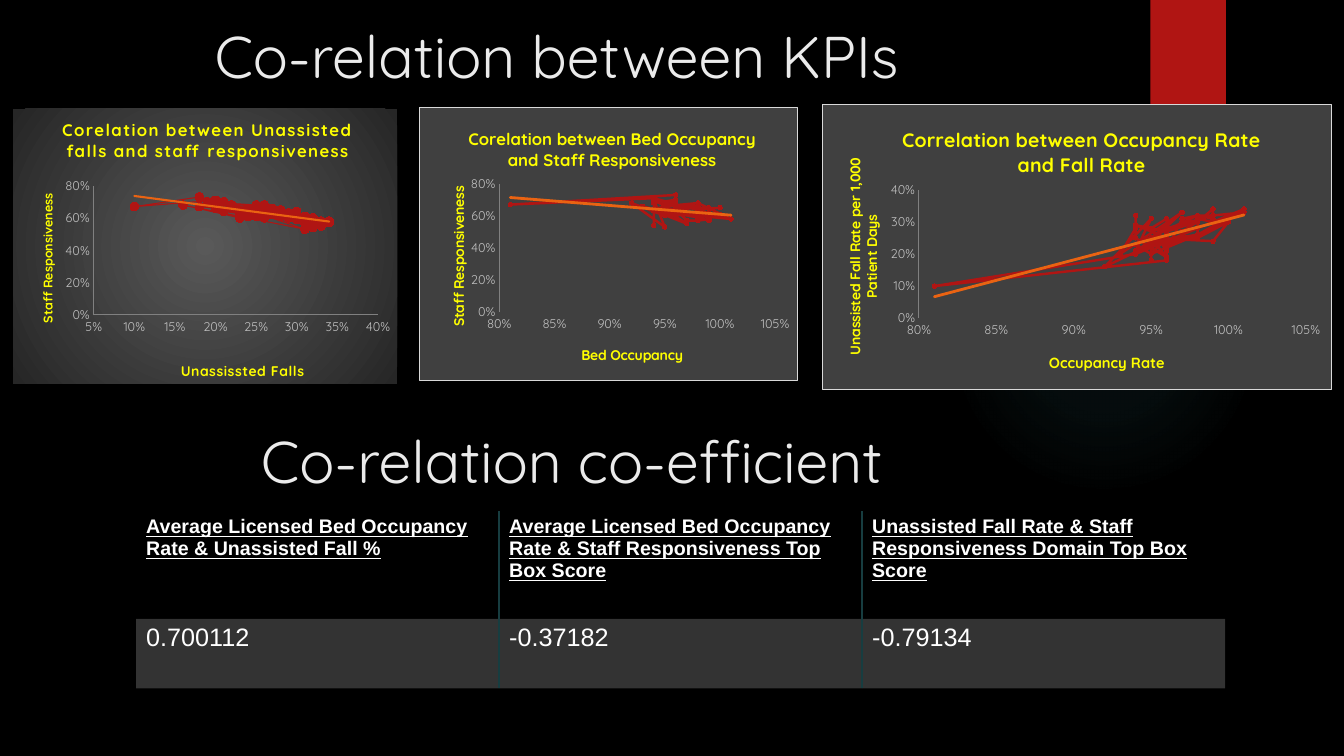
from lxml import etree
from pptx import Presentation
from pptx.chart.data import XyChartData
from pptx.dml.color import RGBColor
from pptx.enum import chart as ch, shapes
from pptx.oxml import parse_xml
from pptx.oxml.ns import nsdecls, qn
from pptx.util import Inches, Pt

YELLOW, RED, ORANGE, TEAL = "FFFF00", "B01513", "EA6312", "173D40"


def style(font, size, color, bold=False, name="Quicksand"):
    font.size, font.bold, font.name = Pt(size), bold, name
    font.color.rgb = RGBColor.from_string(color)


def radial(stops):
    """Circular gradient from (position %, colour, opacity %) stops."""
    gs = "".join(f'<a:gs pos="{pos * 1000}"><a:srgbClr val="{color}">'
                 f'<a:alpha val="{alpha * 1000}"/></a:srgbClr></a:gs>'
                 for pos, color, alpha in stops)
    return (f'<a:gradFill {nsdecls("a")} rotWithShape="1"><a:gsLst>{gs}</a:gsLst><a:path path="circle">'
            '<a:fillToRect l="50000" t="50000" r="50000" b="50000"/></a:path></a:gradFill>')


prs = Presentation()
prs.slide_width, prs.slide_height = Inches(13.33), Inches(7.5)
s = prs.slides.add_slide(prs.slide_layouts[6])
s.background.fill.solid()
s.background.fill.fore_color.rgb = RGBColor.from_string("000000")

# Backdrop
glow = s.shapes.add_shape(shapes.MSO_SHAPE.OVAL, Inches(9.41), Inches(1.83), Inches(3.08), Inches(3.08))
glow.shadow.inherit = False
glow.line.fill.background()
glow_stops = [(0, "50B9C1", 7), (36, "50B9C1", 6), (69, "50B9C1", 0)]
glow._element.spPr.find(qn("a:prstGeom")).addnext(parse_xml(radial(glow_stops)))

ribbon = s.shapes.add_shape(shapes.MSO_SHAPE.RECTANGLE, Inches(11.41), 0, Inches(0.75), Inches(1.25))
ribbon.shadow.inherit = False
ribbon.line.fill.background()
ribbon.fill.solid()
ribbon.fill.fore_color.rgb = RGBColor.from_string(RED)

# Headings
for heading, left, top in [("Co-relation between KPIs", 2.03, 0.15), ("Co-relation co-efficient", 2.49, 4.16)]:
    tf = s.shapes.add_textbox(Inches(left), Inches(top), Inches(prs.slide_width.inches - left),
                              Inches(1.38)).text_frame
    tf.word_wrap = True
    tf.text = heading
    style(tf.paragraphs[0].runs[0].font, 42, "EBEBEB")

# Monthly KPI values
staff = [0.68, 0.73, 0.67, 0.71, 0.58, 0.68, 0.66, 0.7, 0.53, 0.68, 0.6, 0.61, 0.61, 0.65, 0.64,
         0.7, 0.68, 0.54, 0.64, 0.66, 0.55, 0.64, 0.64, 0.6, 0.58, 0.6, 0.61, 0.6, 0.63, 0.63,
         0.61, 0.6, 0.62, 0.64, 0.57, 0.57, 0.58, 0.57, 0.59, 0.63, 0.63, 0.64, 0.65, 0.67, 0.66,
         0.6, 0.62, 0.6, 0.61, 0.59, 0.64, 0.66, 0.67, 0.67, 0.66, 0.65, 0.66, 0.64, 0.64, 0.65]
falls = [0.22, 0.18, 0.1, 0.2, 0.34, 0.26, 0.24, 0.21, 0.31, 0.16, 0.23, 0.25, 0.3, 0.24, 0.25,
         0.19, 0.25, 0.32, 0.28, 0.2, 0.33, 0.24, 0.23, 0.26, 0.33, 0.32, 0.28, 0.29, 0.25, 0.23,
         0.24, 0.31, 0.28, 0.21, 0.31, 0.32, 0.32, 0.34, 0.3, 0.27, 0.29, 0.25, 0.24, 0.2, 0.26,
         0.31, 0.3, 0.3, 0.31, 0.32, 0.23, 0.2, 0.18, 0.2, 0.25, 0.26, 0.27, 0.3, 0.28, 0.28]
beds = [0.96, 0.96, 0.81, 0.94, 1.01, 0.98, 0.95, 0.94, 0.95, 0.92, 0.95, 0.98, 1, 0.99, 0.95,
        0.96, 0.94, 0.94, 0.94, 0.93, 0.97, 0.95, 0.96, 0.98, 1.01, 0.99, 0.96, 0.96, 0.95, 0.95,
        0.96, 0.96, 0.95, 0.96, 0.97, 0.98, 0.99, 0.99, 0.98, 0.96, 0.94, 0.96, 0.95, 0.95, 0.98,
        0.98, 0.99, 0.99, 0.99, 0.98, 0.94, 0.95, 0.95, 0.95, 0.96, 0.96, 0.97, 0.98, 0.98, 1]

# Each title is (text, size, letter spacing, x, y); plot and title places are fractions of the chart
flat = (f'<a:solidFill {nsdecls("a")}><a:srgbClr val="404040"/></a:solidFill>', "D9D9D9")
charts = [
    dict(box=(0.13, 1.08, 3.81, 2.73), xs=falls, ys=staff, x_scale=(0.05, 0.4, 0.05), y_scale=(0, 0.8, 0.2),
         plot=(0.21, 0.28, 0.74, 0.47), width=0.75, trend=1.5, marker=6, x_line=True,
         look=(radial([(0, "595959", 100), (100, "262626", 100)]), None),
         titles=[("Corelation between Unassisted falls and staff responsiveness", 12, 100, 0.12, 0.02),
                 ("Unassissted Falls", 10, 50, 0.43, 0.91), ("Staff Responsiveness", 9, 0, 0.06, 0.3)]),
    dict(box=(4.16, 1.06, 3.76, 2.72), xs=beds, ys=staff, x_scale=(0.8, 1.05, 0.05), y_scale=(0, 0.8, 0.2),
         plot=(0.21, 0.28, 0.73, 0.47), width=1.75, trend=2, marker=3, x_line=False, look=flat,
         titles=[("Corelation between Bed Occupancy and Staff Responsiveness", 12, 0, 0.12, 0.06),
                 ("Bed Occupancy", 10, 0, 0.42, 0.86), ("Staff Responsiveness", 10, 0, 0.07, 0.28)]),
    dict(box=(8.15, 1.03, 5.06, 2.84), xs=beds[:59], ys=falls[:59], x_scale=(0.8, 1.05, 0.05),
         y_scale=(0, 0.4, 0.1), plot=(0.19, 0.3, 0.76, 0.45), width=1.75, trend=2, marker=3,
         x_line=False, look=flat,
         titles=[("Correlation between Occupancy Rate and Fall Rate", 14, 0, 0.15, 0.06),
                 ("Occupancy Rate", 10.5, 0, 0.44, 0.86),
                 ("Unassisted Fall Rate per 1,000 Patient Days", 10, 0, 0.04, 0.18)]),
]
for c in charts:
    data = XyChartData(number_format="0%")
    points = data.add_series("Series 1")
    for x, y in zip(c["xs"], c["ys"]):
        points.add_data_point(x, y)
    chart = s.shapes.add_chart(ch.XL_CHART_TYPE.XY_SCATTER_SMOOTH, *map(Inches, c["box"]), data).chart
    chart.has_legend = False
    style(chart.font, 10, "FFFFFF")
    chart.plots[0].vary_by_categories = False

    series = chart.plots[0].series[0]
    series.smooth = True
    series.format.line.width = Pt(c["width"])
    series.format.line.color.rgb = RGBColor.from_string(RED)
    series.marker.style, series.marker.size = ch.XL_MARKER_STYLE.CIRCLE, c["marker"]
    series.marker.format.fill.solid()
    series.marker.format.fill.fore_color.rgb = RGBColor.from_string(RED)
    series.marker.format.line.color.rgb = RGBColor.from_string(RED)
    series._element.find(qn("c:xVal")).addprevious(parse_xml(
        f'<c:trendline {nsdecls("c", "a")}><c:spPr><a:ln w="{Pt(c["trend"])}" cap="rnd"><a:solidFill>'
        f'<a:srgbClr val="{ORANGE}"/></a:solidFill></a:ln></c:spPr><c:trendlineType val="linear"/>'
        '<c:dispRSqr val="0"/><c:dispEq val="0"/></c:trendline>'))

    x_axis, y_axis = chart.category_axis, chart.value_axis
    for axis, scale, line in [(x_axis, c["x_scale"], c["x_line"]), (y_axis, c["y_scale"], True)]:
        axis.minimum_scale, axis.maximum_scale, axis.major_unit = scale
        axis.has_major_gridlines = False
        axis.major_tick_mark = axis.minor_tick_mark = ch.XL_TICK_MARK.NONE
        axis.tick_labels.number_format, axis.tick_labels.number_format_is_linked = "0%", False
        style(axis.tick_labels.font, 9, "BFBFBF")
        if line:
            axis.format.line.width = Pt(0.75)
            axis.format.line.color.rgb = RGBColor.from_string("808080")
        else:
            axis.format.line.fill.background()

    chart.has_title = True
    layouts = [(chart._chartSpace.chart.plotArea, c["plot"])]
    for title, (words, size, spacing, x, y) in zip(
            [chart.chart_title, x_axis.axis_title, y_axis.axis_title], c["titles"]):
        tf = title.text_frame
        tf.text = words
        r = tf.paragraphs[0].runs[0]
        style(r.font, size, YELLOW, True)
        r.font._element.set("spc", str(spacing))
        layouts.append((title._element, (x, y)))
    tf._txBody.bodyPr.set("rot", "-5400000")
    tf._txBody.bodyPr.set("vert", "horz")

    for owner, place in layouts:
        for old in owner.findall(qn("c:layout")):
            owner.remove(old)
        inner = '<c:layoutTarget val="inner"/>' if len(place) == 4 else ""
        modes = "".join(f'<c:{k}Mode val="edge"/>' for k in "xy")
        sizes = "".join(f'<c:{k} val="{v}"/>' for k, v in zip("xywh", place))
        layout = parse_xml(f'<c:layout {nsdecls("c")}><c:manualLayout>{inner}{modes}{sizes}'
                           '</c:manualLayout></c:layout>')
        owner.insert(0 if inner else 1, layout)

    fill, border = c["look"]
    edge = f'<a:solidFill><a:srgbClr val="{border}"/></a:solidFill>' if border else "<a:noFill/>"
    area = chart._chartSpace.chart
    area.addprevious(parse_xml(f'<c:roundedCorners {nsdecls("c")} val="0"/>'))
    area.addnext(parse_xml(f'<c:spPr {nsdecls("c", "a")}>{fill}<a:ln w="{Pt(0.75)}">{edge}</a:ln></c:spPr>'))

# Coefficient table
rows = [["Average Licensed Bed Occupancy Rate & Unassisted Fall %",
         "Average Licensed Bed Occupancy Rate & Staff Responsiveness Top Box Score",
         "Unassisted Fall Rate & Staff Responsiveness Domain Top Box Score"],
        ["0.700112", "-0.37182", "-0.79134"]]
table = s.shapes.add_table(2, 3, Inches(1.35), Inches(5.07), Inches(10.8), Inches(1.76)).table
table.first_row = table.horz_banding = False
table._tbl.tblPr.find(qn("a:tableStyleId")).text = "{2D5ABB26-0587-4C30-8999-92F81FD0307C}"
for i, height in enumerate([1.07, 0.69]):
    table.rows[i].height = Inches(height)
    for j, words in enumerate(rows[i]):
        cell = table.cell(i, j)
        cell.text = words
        font = cell.text_frame.paragraphs[0].runs[0].font
        style(font, 18 if i else 14, "FFFFFF", i == 0, "Arial")
        font.underline = i == 0
        tc_pr = cell._tc.get_or_add_tcPr()
        if i:
            cell.fill.solid()
            cell.fill.fore_color.rgb = RGBColor.from_string("FFFFFF")
            etree.SubElement(tc_pr.find(".//" + qn("a:srgbClr")), qn("a:alpha")).set("val", "20000")
        else:
            cell.fill.background()
        sides = [side for side, inside in (("lnL", j > 0), ("lnR", j < 2)) if inside]
        for k, side in enumerate(sides):
            tc_pr.insert(k, parse_xml(f'<a:{side} {nsdecls("a")} w="{Pt(1)}"><a:solidFill>'
                                      f'<a:srgbClr val="{TEAL}"/></a:solidFill></a:{side}>'))

prs.save("out.pptx")
